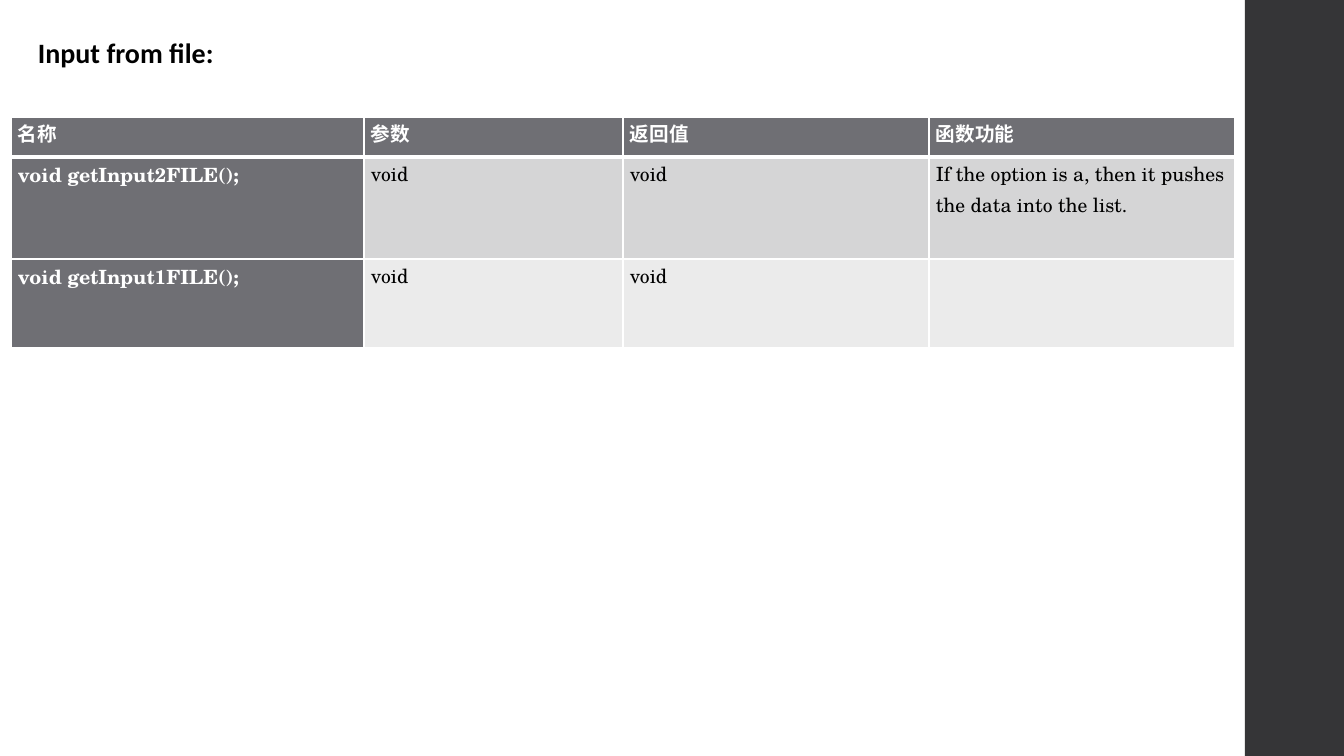
from dataclasses import dataclass

from lxml.etree import fromstring
from pptx import Presentation
from pptx.dml.color import RGBColor as Rgb
from pptx.enum.shapes import MSO_SHAPE as Shape
from pptx.enum.text import MSO_ANCHOR as Anchor
from pptx.util import Pt

SCALE = 914400 / 100.8
NS = "http://schemas.openxmlformats.org/drawingml/2006/main"


@dataclass(frozen=True)
class Theme:
    """Colours, fonts and type sizes."""
    white: str = "FFFFFF"
    black: str = "000000"
    side: str = "353537"
    head: str = "6F6F74"
    bands: tuple = ("D5D5D6", "EBEBEB")
    title_font: str = "Calibri"
    cell_font: str = "TeX Gyre Schola"
    title_size: int = 20
    cell_size: int = 14
    thin: int = 1
    thick: int = 3


def px(num):
    """Turn pixels into EMU."""
    return round(num * SCALE)


class Page:
    """Hold the style and the current slide."""

    def __init__(self, deck, theme):
        """Add a blank slide to the deck."""
        self.theme = theme
        self.slide = deck.slides.add_slide(deck.slide_layouts[6])

    def style(self, frame, font, size, color, bold):
        """Format all runs of a text frame."""
        for par in frame.paragraphs:
            for run in par.runs:
                run.font.name = font
                run.font.size = Pt(size)
                run.font.bold = bold
                run.font.color.rgb = Rgb.from_string(color)

    def bar(self, box, color):
        """Draw a plain filled rectangle."""
        shape = self.slide.shapes.add_shape(Shape.RECTANGLE, *map(px, box))
        shape.shadow.inherit = False
        shape.fill.solid()
        shape.fill.fore_color.rgb = Rgb.from_string(color)
        shape.line.fill.background()

    def title(self, box, text):
        """Write the bold heading."""
        look = self.theme
        frame = self.slide.shapes.add_textbox(*map(px, box)).text_frame
        frame.word_wrap = True
        frame.vertical_anchor = Anchor.TOP
        frame.text = text
        self.style(frame, look.title_font, look.title_size, look.black, True)

    def edges(self, cell, top, bottom):
        """Draw the white borders of a cell."""
        look = self.theme
        props = cell._tc.get_or_add_tcPr()
        sides = zip("LRTB", (look.thin, look.thin, top, bottom))
        for pos, (side, width) in enumerate(sides):
            props.insert(pos, fromstring(
                f'<a:ln{side} xmlns:a="{NS}" w="{Pt(width)}"><a:solidFill>'
                f'<a:srgbClr val="{look.white}"/></a:solidFill></a:ln{side}>'))

    def cell(self, cell, text, fill, color, bold):
        """Fill and write one table cell."""
        look = self.theme
        cell.fill.solid()
        cell.fill.fore_color.rgb = Rgb.from_string(fill)
        cell.margin_left = cell.margin_right = px(7)
        cell.margin_top = cell.margin_bottom = 0
        if text:
            cell.text_frame.text = text
            cell.text_frame.paragraphs[0].line_spacing = 1.07
            self.style(cell.text_frame, look.cell_font, look.cell_size,
                       color, bold)

    def table(self, left, top, cols, rows, data):
        """Build a table with a dark first row and first column."""
        look = self.theme
        grid = self.slide.shapes.add_table(
            len(rows), len(cols), px(left), px(top),
            px(sum(cols)), px(sum(rows))).table
        for col, width in zip(grid.columns, cols):
            col.width = px(width)
        for row, high in zip(grid.rows, rows):
            row.height = px(high)
        for r, line in enumerate(data):
            for c, text in enumerate(line):
                dark = r == 0 or c == 0
                fill = look.head if dark else look.bands[(r - 1) % 2]
                color = look.white if dark else look.black
                cell = grid.cell(r, c)
                self.cell(cell, text, fill, color, dark)
                self.edges(cell, look.thick if r == 1 else look.thin,
                           look.thick if r == 0 else look.thin)


def main():
    """Build and save the slide."""
    deck = Presentation()
    deck.slide_width, deck.slide_height = px(1344), px(756)
    theme = Theme()
    page = Page(deck, theme)
    page.bar((1245, 0, 99, 756), theme.side)
    page.table(11, 117, (353, 259, 306, 306), (40, 102, 89), (
        ("名称", "参数", "返回值", "函数功能"),
        ("void getInput2FILE();", "void", "void",
         "If the option is a, then it pushes the data into the list."),
        ("void getInput1FILE();", "void", "void", ""),
    ))
    page.title((28, 31, 608, 75), "Input from file:")
    deck.save("out.pptx")


main()
